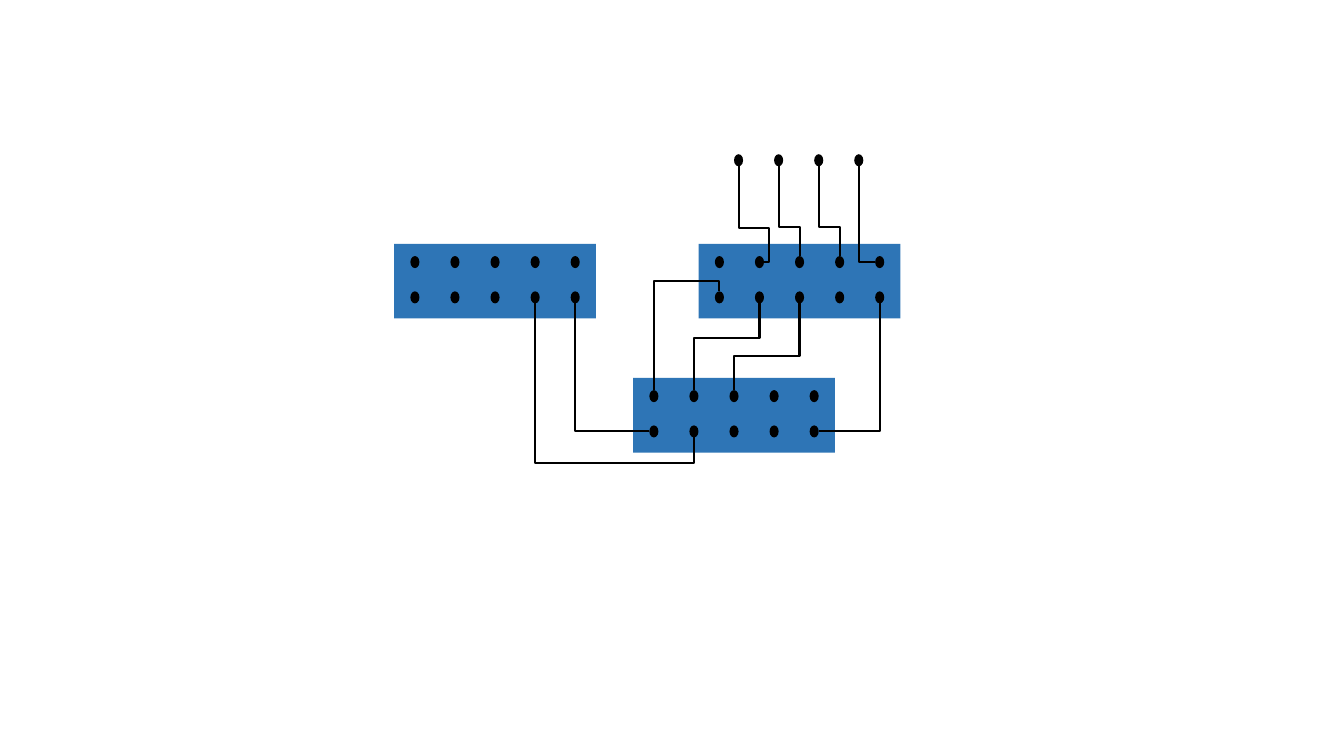
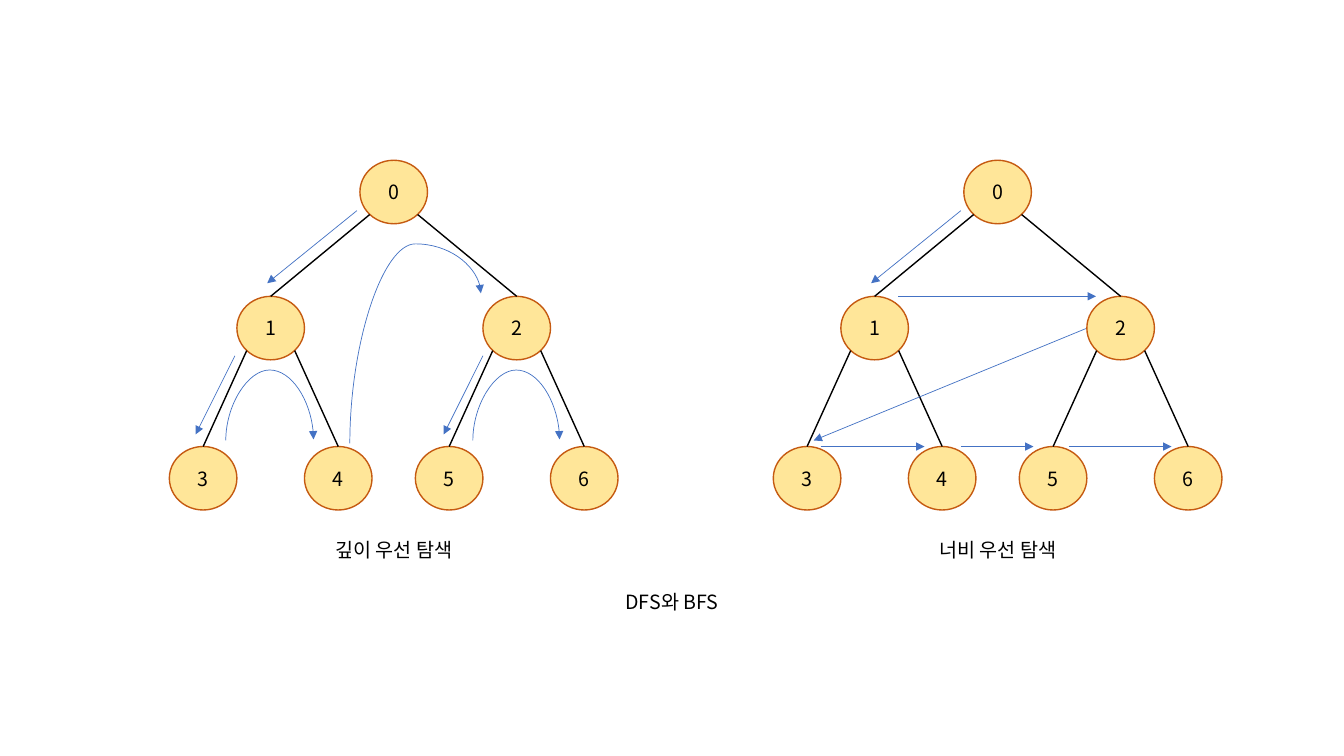
"""Build two slides: a pin wiring diagram and a comparison of tree searches."""
from dataclasses import dataclass

from lxml import etree
from pptx import Presentation
from pptx import util as u
from pptx.dml.color import RGBColor
from pptx.enum import shapes, text
from pptx.oxml.ns import qn


@dataclass(frozen=True)
class Theme:
    """Colours, font and sizes shared by the slides."""
    ink: str = "000000"
    chip: str = "2E75B6"
    node: str = "FFE699"
    node_line: str = "C55A11"
    arrow: str = "4472C4"
    font: str = "Noto Sans CJK KR"
    size: float = 14
    wire_width: float = 1.5
    edge_width: float = 1
    arrow_width: float = 0.5


@dataclass(frozen=True)
class Oval:
    """Bounds of an ellipse and the points on its rim."""
    left: float
    top: float
    width: float
    height: float

    def rim(self, across, down):
        """Return the point at a unit direction from the centre."""
        return (self.left + self.width * (1 + across) / 2,
                self.top + self.height * (1 + down) / 2)


LEFT, RIGHT, TOP, BOTTOM = (-1, 0), (1, 0), (0, -1), (0, 1)
LOWER_LEFT, LOWER_RIGHT = (-0.71, 0.71), (0.71, 0.71)
PITCH = 1.59 / 4


class Board:
    """Hold the style and current slide and draw its elements."""

    def __init__(self, theme):
        """Start an empty widescreen deck."""
        self.theme = theme
        self.deck = Presentation()
        self.deck.slide_width = u.Inches(13.33)
        self.deck.slide_height = u.Inches(7.5)
        self.slide = None

    def new_slide(self):
        """Add a blank slide and make it current."""
        self.slide = self.deck.slides.add_slide(self.deck.slide_layouts[6])

    def label(self, box, words):
        """Put one centred line of text into a box."""
        box.text_frame.word_wrap = True
        box.text_frame.vertical_anchor = text.MSO_ANCHOR.MIDDLE
        para = box.text_frame.paragraphs[0]
        para.alignment = text.PP_ALIGN.CENTER
        span = para.add_run()
        span.text = words
        font = span.font
        font.size = u.Pt(self.theme.size)
        font.color.rgb = RGBColor.from_string(self.theme.ink)
        font.name = self.theme.font
        east_asian = etree.SubElement(span._r.get_or_add_rPr(), qn("a:ea"))
        east_asian.set("typeface", self.theme.font)

    def shape(self, kind, bounds, fill, line=None):
        """Draw a filled preset shape."""
        shape = self.slide.shapes.add_shape(kind, *map(u.Inches, bounds))
        shape.shadow.inherit = False
        shape.fill.solid()
        shape.fill.fore_color.rgb = RGBColor.from_string(fill)
        if line:
            shape.line.color.rgb = RGBColor.from_string(line)
            shape.line.width = u.Pt(self.theme.edge_width)
        else:
            shape.line.fill.background()
        return shape

    def oval(self, bounds, fill, line=None, words=""):
        """Draw an ellipse and return its geometry."""
        shape = self.shape(shapes.MSO_SHAPE.OVAL, bounds, fill, line)
        if words:
            self.label(shape, words)
        return Oval(*bounds)

    def pin_row(self, left, top, count):
        """Draw a row of evenly spaced pins."""
        return [self.oval((left + PITCH * column, top, 0.09, 0.12), self.theme.ink)
                for column in range(count)]

    def chip(self, left, top):
        """Draw a chip and return its two rows of pins."""
        self.shape(shapes.MSO_SHAPE.RECTANGLE, (left, top, 2, 0.74), self.theme.chip)
        return [self.pin_row(left + 0.16, top + 0.12 + 0.35 * row, 5) for row in range(2)]

    def caption(self, left, top, words):
        """Add a centred caption."""
        box = self.slide.shapes.add_textbox(*map(u.Inches, (left, top, 4.71, 0.34)))
        self.label(box, words)

    def line(self, start, end, color, width, arrow=False,
             kind=shapes.MSO_CONNECTOR.STRAIGHT):
        """Draw a connector, with an arrowhead if asked."""
        line = self.slide.shapes.add_connector(kind, *map(u.Inches, (*start, *end)))
        line.line.color.rgb = RGBColor.from_string(color)
        line.line.width = u.Pt(width)
        if arrow:
            head = etree.SubElement(line.get_or_add_ln(), qn("a:tailEnd"))
            head.set("type", "triangle")
        etree.SubElement(line._element.spPr, qn("a:effectLst"))
        return line

    def upright(self, start, end, turns, preset, **style):
        """Draw a connector that leaves vertically and turns at given places."""
        (x1, y1), (x2, y2) = start, end
        rightward, upward = x2 > x1, y2 < y1
        middle_x, middle_y = (x1 + x2) / 2, (y1 + y2) / 2
        half_width = abs(y2 - y1) / 2 * (-1 if rightward else 1)
        half_height = abs(x2 - x1) / 2 * (-1 if upward else 1)
        line = self.line((middle_x - half_width, middle_y - half_height),
                         (middle_x + half_width, middle_y + half_height), **style)
        properties = line._element.spPr
        angle = 270 if rightward != upward else 90
        properties.find(qn("a:xfrm")).set("rot", str(angle * 60000))
        geometry = properties.find(qn("a:prstGeom"))
        geometry.set("prst", f"{preset}{len(turns) + 2}")
        guides = geometry.find(qn("a:avLst"))
        spans = ((y1, y2 - y1), (x1, x2 - x1))
        for number, (turn, (origin, length)) in enumerate(zip(turns, spans), 1):
            guide = etree.SubElement(guides, qn("a:gd"))
            guide.set("name", f"adj{number}")
            guide.set("fmla", f"val {round((turn - origin) / length * 100000)}")

    def wire(self, start, end, *turns):
        """Draw a right-angled wire between pins."""
        self.upright(start, end, turns, "bentConnector", color=self.theme.ink,
                     width=self.theme.wire_width, kind=shapes.MSO_CONNECTOR.ELBOW)

    def hop(self, start, end, peak):
        """Draw a curved arrow that rises to a peak."""
        self.upright(start, end, (peak,), "curvedConnector", color=self.theme.arrow,
                     width=self.theme.arrow_width, arrow=True,
                     kind=shapes.MSO_CONNECTOR.CURVE)

    def step(self, start, end):
        """Draw a straight arrow between visited nodes."""
        self.line(start, end, self.theme.arrow, self.theme.arrow_width, arrow=True)

    def tree(self, left, caption, steps, hops=()):
        """Draw a seven-node tree with its visiting order."""
        places = [(1.89, 1.59), (0.67, 2.94), (3.11, 2.94),
                  (0, 4.43), (1.34, 4.43), (2.44, 4.43), (3.78, 4.43)]
        nodes = [self.oval((left + x, y, 0.67, 0.63), self.theme.node,
                           self.theme.node_line, str(number))
                 for number, (x, y) in enumerate(places)]
        for number, node in enumerate(nodes[1:], 1):
            side = LOWER_LEFT if number % 2 else LOWER_RIGHT
            self.line(node.rim(*TOP), nodes[(number - 1) // 2].rim(*side),
                      self.theme.ink, self.theme.edge_width)
        for x1, y1, x2, y2 in steps:
            self.step((left + x1, y1), (left + x2, y2))
        for x1, y1, x2, y2, peak in hops:
            self.hop((left + x1, y1), (left + x2, y2), peak)
        self.caption(left - 0.13, 5.28, caption)


def wiring_slide(board):
    """Draw three chips wired to each other and to four outer pins."""
    board.new_slide()
    west = board.chip(3.91, 2.42)
    east = board.chip(6.93, 2.42)
    south = board.chip(6.28, 3.75)
    outer = board.pin_row(7.28, 1.53, 4)
    wires = [
        (east[1][0], TOP, south[0][0], TOP, 2.79),
        (west[1][3], BOTTOM, south[1][1], BOTTOM, 4.59),
        (east[1][1], BOTTOM, south[0][1], TOP, 3.35),
        (east[1][2], BOTTOM, south[0][2], TOP, 3.53),
        (west[1][4], BOTTOM, south[1][0], LEFT),
        (east[1][4], BOTTOM, south[1][4], RIGHT),
        (outer[0], BOTTOM, east[0][1], RIGHT, 2.26, 7.63),
        (outer[1], BOTTOM, east[0][2], TOP, 2.25),
        (outer[2], BOTTOM, east[0][3], TOP, 2.25),
        (outer[3], BOTTOM, east[0][4], LEFT),
    ]
    for first, leaving, last, entering, *turns in wires:
        board.wire(first.rim(*leaving), last.rim(*entering), *turns)


def search_slide(board):
    """Draw depth-first and breadth-first search side by side."""
    board.new_slide()
    first_step = (1.86, 2.09, 0.97, 2.81)
    board.tree(1.68, "깊이 우선 탐색",
               [first_step, (0.65, 3.53, 0.26, 4.31), (3.11, 3.53, 2.72, 4.31)],
               [(0.56, 4.37, 1.43, 4.36, 3.66), (3.01, 4.37, 3.87, 4.36, 3.66),
                (1.79, 4.4, 3.09, 2.91, 2.42)])
    board.tree(7.67, "너비 우선 탐색",
               [first_step, (3.1, 3.26, 0.4, 4.37), (1.24, 2.94, 3.2, 2.94),
                (0.47, 4.43, 1.5, 4.43), (1.86, 4.43, 2.58, 4.43),
                (2.93, 4.43, 3.95, 4.43)])
    board.caption(4.31, 5.8, "DFS와 BFS")


board = Board(Theme())
wiring_slide(board)
search_slide(board)
board.deck.save("out.pptx")
